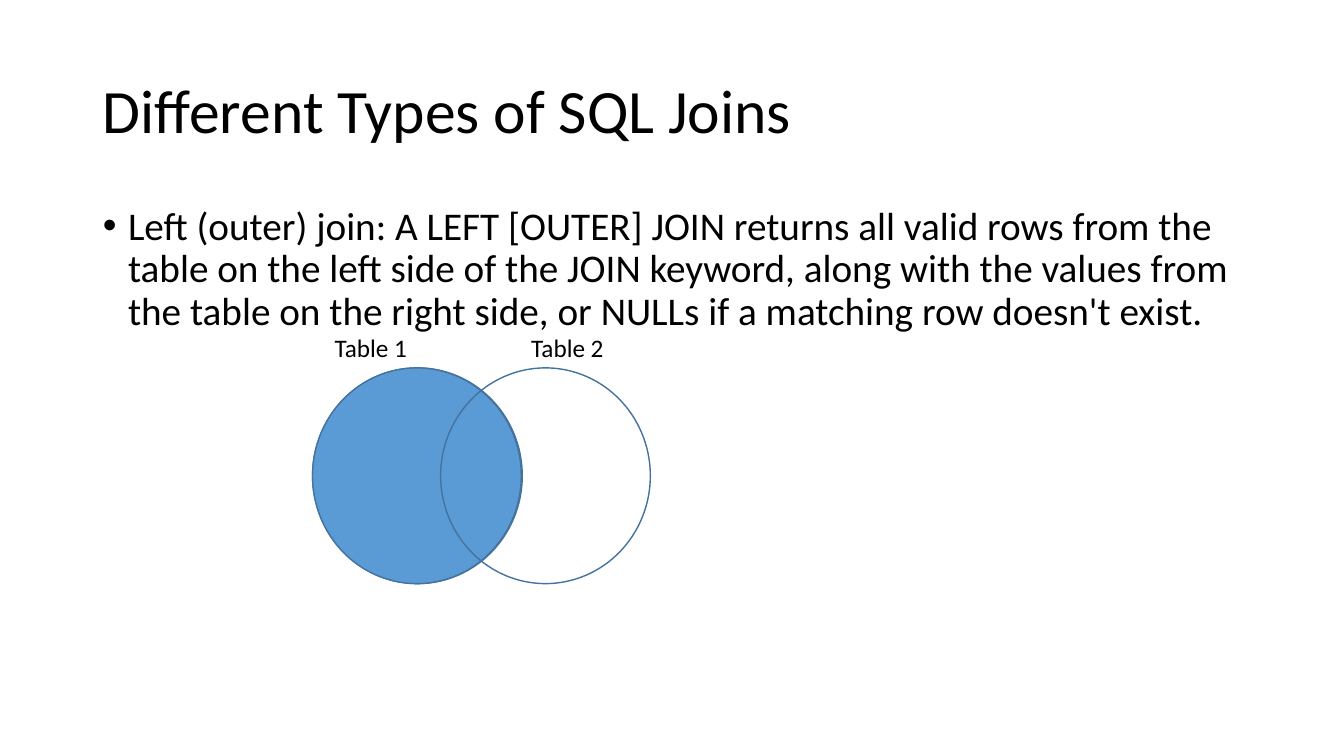
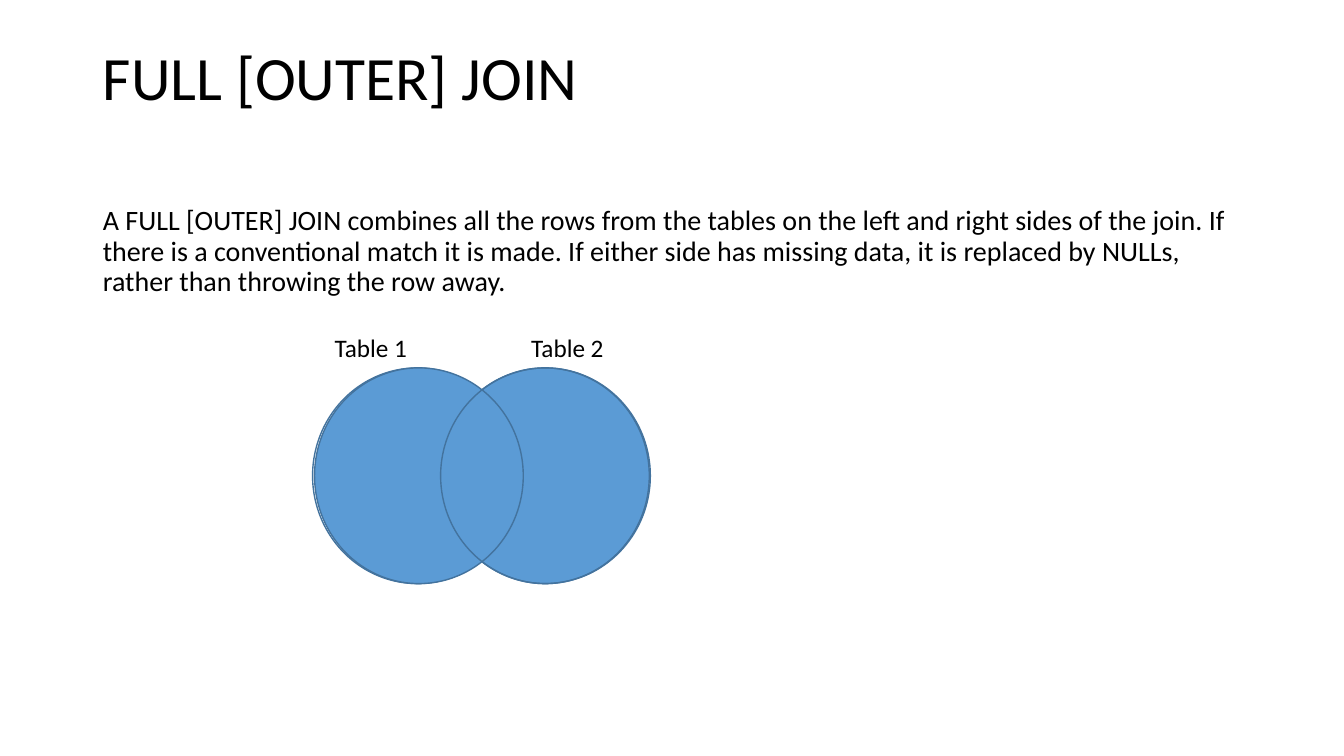
import pptx
import pptx.dml.color
import pptx.enum.shapes
import pptx.enum.text
import pptx.util
from lxml import etree

Inches, Pt = pptx.util.Inches, pptx.util.Pt
RGBColor = pptx.dml.color.RGBColor
ANCHOR = pptx.enum.text.MSO_ANCHOR
AUTO_SIZE = pptx.enum.text.MSO_AUTO_SIZE

# Shared style
FONT = "Calibri"
BLACK = RGBColor(0x00, 0x00, 0x00)
BLUE = RGBColor(0x5B, 0x9B, 0xD5)
OUTLINE = RGBColor(0x43, 0x73, 0x9E)
TITLE_BOX = (0.92, 0.4, 11.5, 1.45)
BODY_BOX = (0.92, 2, 11.5, 4.76)
LINE_SPACING = 0.9

# Venn diagram geometry
CIRCLE_TOP, CIRCLE_HEIGHT = 3.65, 2.14
OUTLINE_WIDTH, FILLED_WIDTH = 2.08, 2.07
LEFT, RIGHT = 3.1, 4.37
LABELS = [("Table 1", 3.22), ("Table 2", 5.17)]

# Content: circles are (left, filled), from back to front
SLIDES = [
    {
        "title": "Different Types of SQL Joins",
        "title_bottom": 0.05,
        "body": "Left (outer) join: A LEFT [OUTER] JOIN returns all valid rows "
                "from the table on the left side of the JOIN keyword, along with "
                "the values from the table on the right side, or NULLs if a "
                "matching row doesn't exist.",
        "body_size": 28,
        "bullet": True,
        "circles": [(LEFT, False), (LEFT, True), (RIGHT, False)],
    },
    {
        "title": "FULL [OUTER] JOIN",
        "title_bottom": 0.71,
        "body": "A FULL [OUTER] JOIN combines all the rows from the tables on the "
                "left and right sides of the join. If there is a conventional match "
                "it is made. If either side has missing data, it is replaced by "
                "NULLs, rather than throwing the row away.",
        "body_size": 20,
        "bullet": False,
        "circles": [(RIGHT, True), (LEFT, False), (LEFT + 0.02, True), (RIGHT, False)],
    },
]


def place(shape, box):
    shape.left, shape.top, shape.width, shape.height = map(Inches, box)


def write(frame, text, size):
    paragraph = frame.paragraphs[0]
    paragraph.alignment = pptx.enum.text.PP_ALIGN.LEFT
    run = paragraph.add_run()
    run.text = text
    run.font.name, run.font.size = FONT, Pt(size)
    run.font.color.rgb = BLACK
    return paragraph


def set_bullet(paragraph, bullet):
    properties = paragraph._p.get_or_add_pPr()
    indent = Inches(0.25) if bullet else 0
    properties.set("marL", str(indent))
    properties.set("indent", str(-indent))
    namespace = pptx.oxml.ns.qn
    if bullet:
        etree.SubElement(properties, namespace("a:buFont"), typeface="Arial")
        etree.SubElement(properties, namespace("a:buChar"), char="•")
    else:
        etree.SubElement(properties, namespace("a:buNone"))


def add_title(slide, content):
    title = slide.shapes.title
    place(title, TITLE_BOX)
    frame = title.text_frame
    frame.auto_size = AUTO_SIZE.NONE
    frame.vertical_anchor = ANCHOR.MIDDLE
    frame.margin_bottom = Inches(content["title_bottom"])
    write(frame, content["title"], 44).line_spacing = LINE_SPACING


def add_body(slide, content):
    body = slide.placeholders[1]
    place(body, BODY_BOX)
    frame = body.text_frame
    frame.auto_size = AUTO_SIZE.NONE
    frame.vertical_anchor = ANCHOR.TOP
    paragraph = write(frame, content["body"], content["body_size"])
    paragraph.line_spacing = LINE_SPACING
    paragraph.space_before = Pt(10)
    set_bullet(paragraph, content["bullet"])


def add_circle(slide, left, filled):
    width = FILLED_WIDTH if filled else OUTLINE_WIDTH
    circle = slide.shapes.add_shape(
        pptx.enum.shapes.MSO_SHAPE.OVAL,
        *map(Inches, (left, CIRCLE_TOP, width, CIRCLE_HEIGHT)))
    circle.shadow.inherit = False
    circle.line.color.rgb, circle.line.width = OUTLINE, Pt(1)
    if filled:
        circle.fill.solid()
        circle.fill.fore_color.rgb = BLUE
    else:
        circle.fill.background()


def add_label(slide, text, left):
    label = slide.shapes.add_textbox(*map(Inches, (left, 3.25, 0.93, 0.4)))
    label.text_frame.word_wrap = False
    label.text_frame.auto_size = AUTO_SIZE.SHAPE_TO_FIT_TEXT
    write(label.text_frame, text, 18)


def main():
    presentation = pptx.Presentation()
    presentation.slide_width = Inches(13.33)
    presentation.slide_height = Inches(7.5)
    for content in SLIDES:
        slide = presentation.slides.add_slide(presentation.slide_layouts[1])
        add_title(slide, content)
        add_body(slide, content)
        for left, filled in content["circles"]:
            add_circle(slide, left, filled)
        for text, left in LABELS:
            add_label(slide, text, left)
    presentation.save("out.pptx")


if __name__ == "__main__":
    main()
